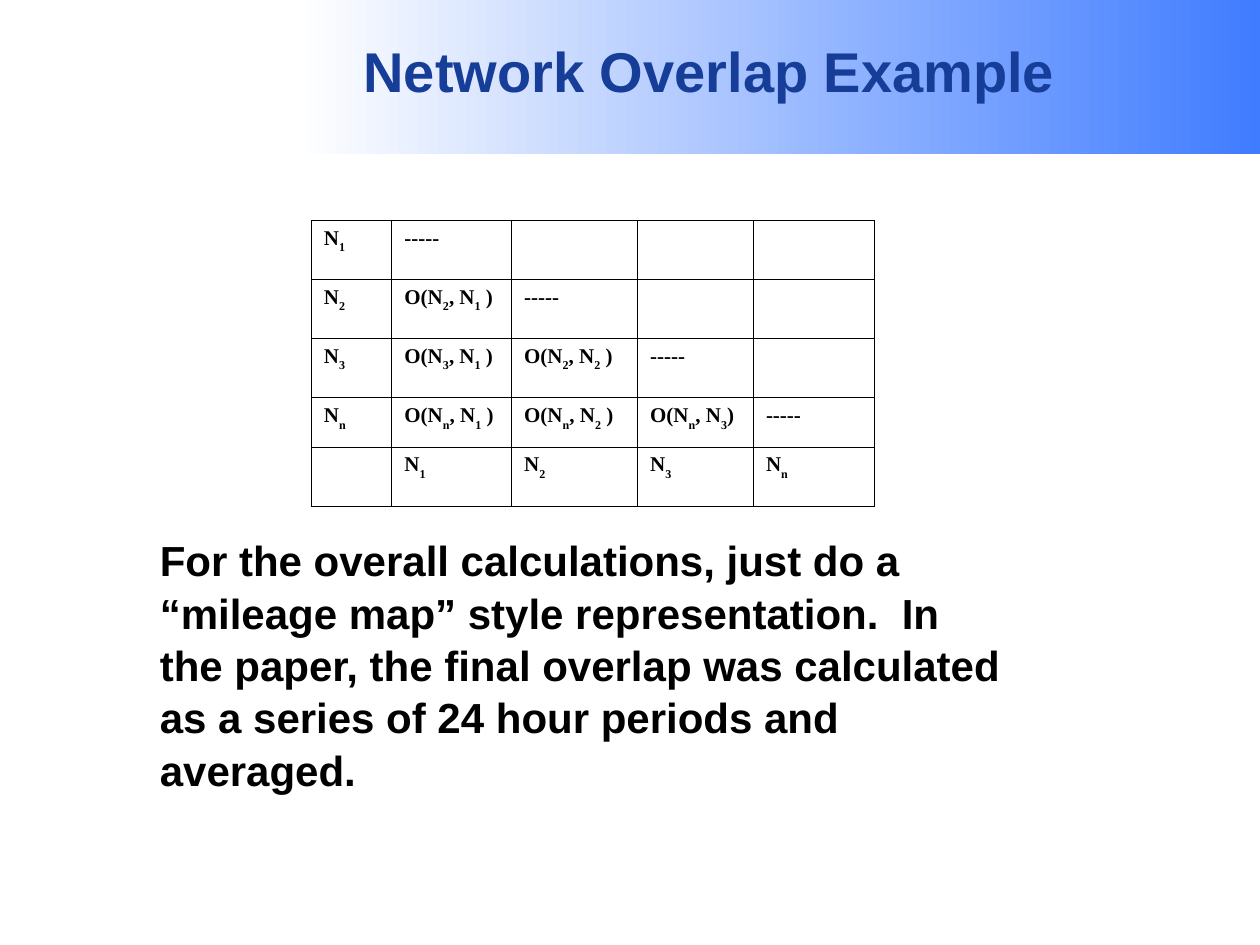
from lxml.etree import SubElement as Sub
from pptx import Presentation as Deck
from pptx.dml.color import RGBColor as RGB
from pptx.enum.shapes import MSO_SHAPE as Kind
from pptx.enum.text import MSO_ANCHOR as Anchor, PP_ALIGN as Align
from pptx.oxml.ns import qn
from pptx.util import Inches, Pt

NAVY = RGB(0x16, 0x3D, 0x97)
BLUE = RGB(0x40, 0x7C, 0xFF)
WHITE = RGB(0xFF, 0xFF, 0xFF)
BLACK = RGB(0, 0, 0)
DASH = "-----"
COLS = [0.64, 0.95, 1, 0.92, 0.96]
ROWS = [0.38, 0.38, 0.4, 0.39, 0.38]
CELLS = [
    ["N_1", DASH, "", "", ""],
    ["N_2", "O(N_2, N_1 )", DASH, "", ""],
    ["N_3", "O(N_3, N_1 )", "O(N_2, N_2 )", DASH, ""],
    ["N_n", "O(N_n, N_1 )", "O(N_n, N_2 )", "O(N_n, N_3)", DASH],
    ["", "N_1", "N_2", "N_3", "N_n"],
]
NOTE = (
    "For the overall calculations, just do a “mileage map” style "
    "representation.  In the paper, the final overlap was calculated "
    "as a series of 24 hour periods and averaged."
)


def write(par, text, size=24, face="Arial", color=BLACK, sub=False):
    run = par.add_run()
    run.text = text
    font = run.font
    font.size, font.name, font.bold = Pt(size), face, True
    font.color.rgb = color
    if sub:
        font._element.set("baseline", "-30000")


class Page:
    """Hold the style and the current slide."""

    serif = "Times New Roman"
    line = Pt(0.45)

    def __init__(self, deck):
        self.slide = deck.slides.add_slide(deck.slide_layouts[5])
        self.shapes = self.slide.shapes

    def band(self, *box):
        band = self.shapes.add_shape(Kind.RECTANGLE, *map(Inches, box))
        band.shadow.inherit = False
        band.line.fill.background()
        band.fill.gradient()
        band.fill.gradient_angle = 180
        for stop, tint in zip(band.fill.gradient_stops, (BLUE, WHITE)):
            stop.color.rgb = tint
        self.shapes._spTree.insert(2, band._element)

    def title(self, text, *box):
        head = self.shapes.title
        head.left, head.top, head.width, head.height = map(Inches, box)
        head.text_frame.vertical_anchor = Anchor.MIDDLE
        par = head.text_frame.paragraphs[0]
        par.alignment = Align.CENTER
        write(par, text, size=32, color=NAVY)

    def cell(self, cell, text):
        cell.fill.background()
        par = cell.text_frame.paragraphs[0]
        if text:
            props = par._p.get_or_add_pPr()
            props.set("marL", str(Inches(0.38)))
            props.set("indent", str(-Inches(0.38)))
            first, *rest = text.split("_")
            write(par, first, size=12, face=self.serif)
            for part in rest:
                write(par, part[0], size=12, face=self.serif, sub=True)
                if part[1:]:
                    write(par, part[1:], size=12, face=self.serif)
        else:
            end = Sub(par._p, qn("a:endParaRPr"), sz="2400")
            Sub(end, qn("a:latin"), typeface=self.serif)
        props = cell._tc.get_or_add_tcPr()
        for spot, side in enumerate(("lnL", "lnR", "lnT", "lnB")):
            edge = Sub(props, qn("a:" + side), w=str(self.line))
            fill = Sub(edge, qn("a:solidFill"))
            Sub(fill, qn("a:srgbClr"), val=str(BLACK))
            props.insert(spot, edge)

    def table(self, data, cols, rows, left, top):
        box = map(Inches, (left, top, sum(cols), sum(rows)))
        grid = self.shapes.add_table(len(rows), len(cols), *box).table
        grid.first_row = grid.horz_banding = False
        for col, width in zip(grid.columns, cols):
            col.width = Inches(width)
        for row, high, texts in zip(grid.rows, rows, data):
            row.height = Inches(high)
            for cell, text in zip(row.cells, texts):
                self.cell(cell, text)

    def text(self, text, *box):
        frame = self.shapes.add_textbox(*map(Inches, box)).text_frame
        frame.word_wrap = True
        par = frame.paragraphs[0]
        par.line_spacing = 1.04
        write(par, text)


def main():
    deck = Deck()
    deck.slide_width, deck.slide_height = Inches(10), Inches(7.5)
    page = Page(deck)
    page.band(2.35, 0, 7.65, 1.22)
    page.title("Network Overlap Example", 2.43, 0.09, 6.4, 0.94)
    page.table(CELLS, COLS, ROWS, 2.47, 1.75)
    page.text(NOTE, 1.17, 4.18, 6.89, 2.1)
    deck.save("out.pptx")


if __name__ == "__main__":
    main()
